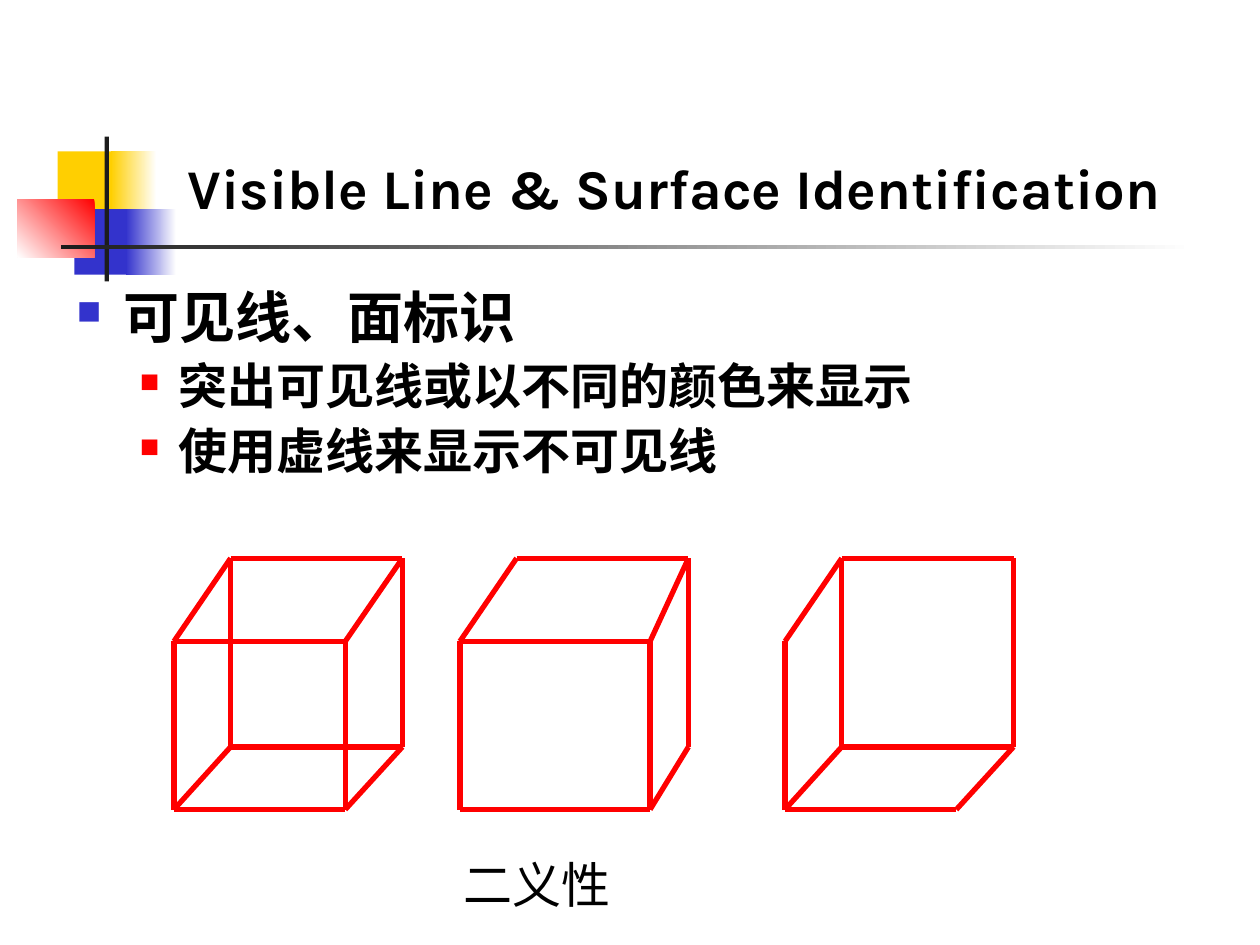
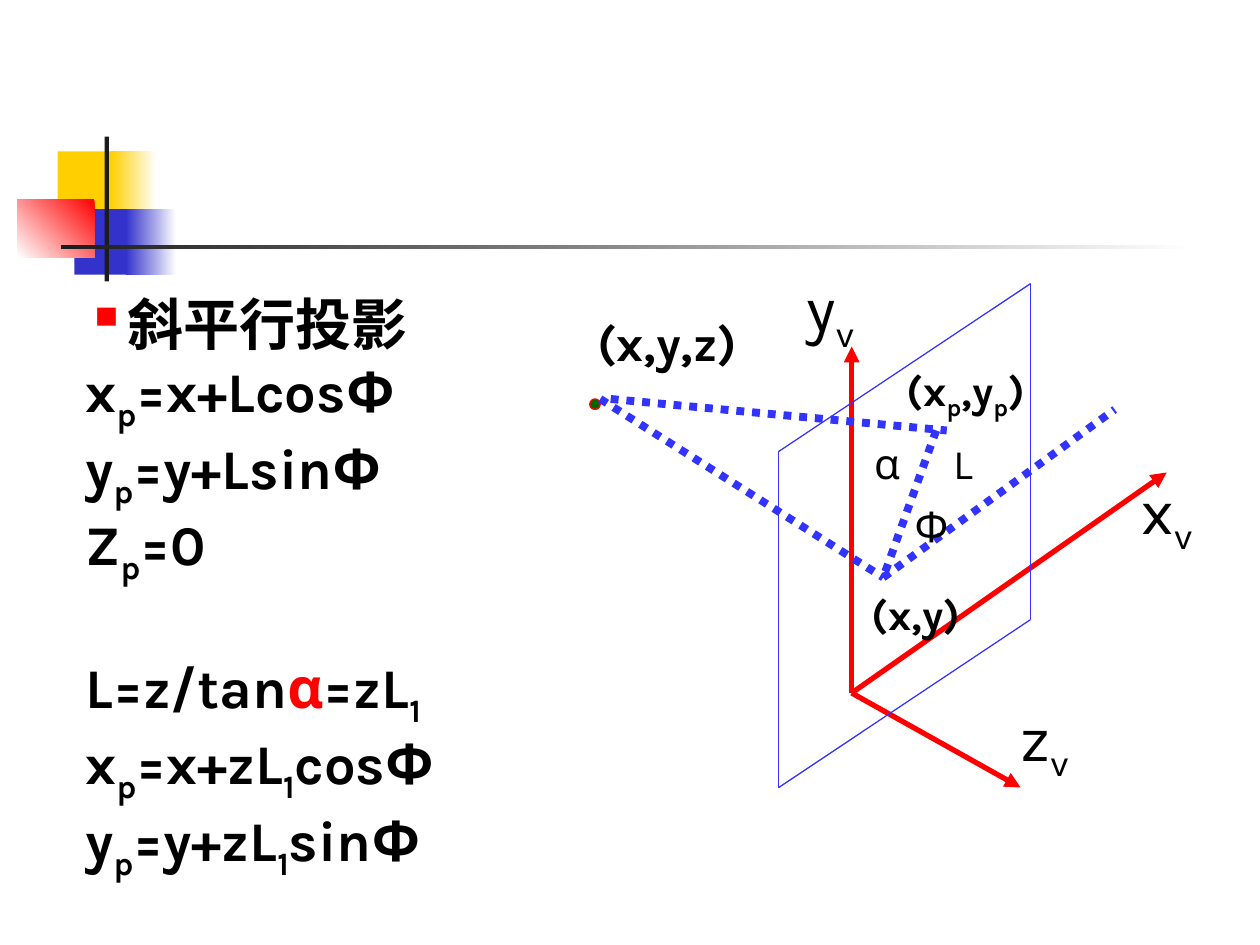
from lxml.etree import SubElement
from pptx import Presentation
from pptx.dml.color import RGBColor
from pptx.enum.dml import MSO_LINE as Dash
from pptx.enum.shapes import MSO_CONNECTOR as Link, MSO_SHAPE as Shape
from pptx.enum.text import MSO_ANCHOR as Anchor, MSO_AUTO_SIZE as Auto, PP_ALIGN as Align
from pptx.oxml.ns import qn
from pptx.util import Pt

RED = RGBColor(0xFF, 0x00, 0x00)
GOLD = RGBColor(0xFF, 0xCF, 0x01)
NAVY = RGBColor(0x33, 0x33, 0xCC)
BLUE = RGBColor(0x33, 0x33, 0xFF)
GREEN = RGBColor(0x00, 0x66, 0x00)
DARK = RGBColor(0x1C, 0x1C, 0x1C)
BLACK = RGBColor(0x00, 0x00, 0x00)
WHITE = RGBColor(0xFF, 0xFF, 0xFF)
FONT = "Karla"


def fill(shape, size, bold, lines, wrap=True):
    """Write lines into a shape; "|" parts runs, and p, v and 1 alone are subscripts."""
    frame = shape.text_frame
    frame.word_wrap = wrap
    frame.auto_size = Auto.SHAPE_TO_FIT_TEXT
    for i, line in enumerate(lines):
        para = frame.add_paragraph() if i else frame.paragraphs[0]
        for part in line.split("|"):
            run = para.add_run()
            run.text = part
            run.font.name = FONT
            run.font.size = Pt(size)
            run.font.bold = bold
            run.font.color.rgb = RED if bold and part == "α" else BLACK
            if part in ("p", "v", "1"):
                run.font._element.set("baseline", "-25000")
    return frame


def link(slide, start, end, color, width):
    """Draw a straight line without shadow."""
    ends = [Pt(n) for n in (*start, *end)]
    line = slide.shapes.add_connector(Link.STRAIGHT, *ends)
    line.line.color.rgb = color
    line.line.width = Pt(width)
    SubElement(line._element.spPr, qn("a:effectLst"))
    return line


deck = Presentation()
deck.slide_width, deck.slide_height = Pt(720), Pt(540)
cubes = deck.slides.add_slide(deck.slide_layouts[5])
proj = deck.slides.add_slide(deck.slide_layouts[6])

# Shared corner blocks and rules, moved to the master behind everything
decor = [
    (33, 86.5, 34.5, 37.5, GOLD, None, 0),
    (63.4, 86.5, 26, 37.5, WHITE, GOLD, 180),
    (42.5, 119.5, 33, 37.5, NAVY, None, 0),
    (72, 119.5, 28.8, 37.5, WHITE, NAVY, 180),
    (10, 113.75, 44, 33.25, RED, WHITE, 225),
    (59.8, 78, 2.4, 82.8, DARK, None, 0),
    (34.6, 140, 648, 2.5, WHITE, DARK, 180),
]
tree = deck.slide_master.shapes._spTree
for i, (left, top, width, height, first, last, angle) in enumerate(decor):
    block = cubes.shapes.add_shape(Shape.RECTANGLE, Pt(left), Pt(top), Pt(width), Pt(height))
    block.shadow.inherit = False
    block.line.fill.background()
    if last is None:
        block.fill.solid()
        block.fill.fore_color.rgb = first
    else:
        block.fill.gradient()
        block.fill.gradient_angle = angle
        for stop, color in zip(block.fill.gradient_stops, (first, last)):
            stop.color.rgb = color
    tree.insert(2 + i, block._element)

# Slide 1: title
title = cubes.shapes.title
title.left, title.top, title.width, title.height = Pt(100), Pt(84.3), Pt(584), Pt(46)
frame = fill(title, 32, True, ["Visible Line & Surface Identification"], False)
frame.vertical_anchor = Anchor.TOP
frame.paragraphs[0].alignment = Align.LEFT

# Slide 1: cubes, capitals for the back face and small letters for the front
HIGH, FRONT, LOW, BASE = 319, 366.5, 426.8, 462.6
views = [
    (99.4, 97.9, "AB Aa ab bB ac cd db BD Dd AC CD Cc"),
    (262.8, 108.7, "AB Aa ac ab Bb bd cd BD Dd"),
    (448.6, 97.9, "AB Aa AC Cc ac CD DB Dd cd"),
]
for left, width, edges in views:
    back, far = left + 32.4, left + 130.6
    spots = {
        "A": (back, HIGH), "B": (far, HIGH), "C": (back, LOW), "D": (far, LOW),
        "a": (left, FRONT), "b": (left + width, FRONT),
        "c": (left, BASE), "d": (left + width, BASE),
    }
    for start, end in edges.split():
        link(cubes, spots[start], spots[end], RED, 3)

# Slide 1: list and caption
note = cubes.shapes.add_textbox(Pt(258), Pt(484.5), Pt(108), Pt(41))
fill(note, 28, False, ["二义性"])
body = cubes.shapes.add_textbox(Pt(36.7), Pt(162), Pt(612), Pt(124.5))
items = fill(body, 32, True, [
    "可见线、面标识", "突出可见线或以不同的颜色来显示", "使用虚线来显示不可见线",
]).paragraphs
for para in items:
    para.line_spacing = 0.9
for para in items[1:]:
    para.space_before = Pt(7)
    para.runs[0].font.size = Pt(28)

# Slide 2: formulas
body = proj.shapes.add_textbox(Pt(41.8), Pt(162), Pt(282), Pt(423))
sums = fill(body, 32, True, [
    "斜平行投影", "x|p|=x+LcosФ", "y|p|=y+LsinФ", "Z|p|=0",
    "L=z/tan|α|=zL|1", "x|p|=x+zL|1|cosФ", "y|p|=y+zL|1|sinФ",
]).paragraphs
sums[4].space_before = Pt(37.5)

# Bullets of both slides
marks = [
    (items[0], "■", NAVY, 60, 27, 27),
    (items[1], "■", RED, 55, 58.5, 22.5),
    (items[2], "■", RED, 55, 58.5, 22.5),
    (sums[0], "▪", RED, 100, 0, 0),
]
for para, char, color, size, left, hang in marks:
    props = para._p.get_or_add_pPr()
    props.set("marL", str(Pt(left)))
    props.set("indent", str(-Pt(hang)))
    SubElement(SubElement(props, qn("a:buClr")), qn("a:srgbClr"), val=str(color))
    SubElement(props, qn("a:buSzPct"), val=str(size * 1000))
    SubElement(props, qn("a:buChar"), char=char)

# Slide 2: axes
root = (486.7, 396)
for tip in [(486.7, 198), (666.7, 270), (583.2, 450)]:
    axis = link(proj, root, tip, RED, 3)
    SubElement(axis.line._get_or_add_ln(), qn("a:tailEnd"), type="triangle")

# Slide 2: view plane
plane = [(445, 258), (589, 162), (589, 354), (445, 450)]
for start, end in zip(plane, plane[1:] + plane[:1]):
    link(proj, start, end, BLUE, 0.75)

# Slide 2: point and its rays
dot = proj.shapes.add_shape(Shape.OVAL, Pt(337), Pt(228), Pt(6), Pt(6))
dot.shadow.inherit = False
dot.fill.solid()
dot.fill.fore_color.rgb = GREEN
dot.line.color.rgb = RED
dot.line.width = Pt(0.75)
foot = (504.7, 330)
rays = [
    ((343, 228), foot), (foot, (637, 234)),
    ((349, 228), (541, 246)), ((535, 246), foot),
]
for start, end in rays:
    link(proj, start, end, BLUE, 4.5).line.dash_style = Dash.ROUND_DOT

# Slide 2: labels, each with a little room on both sides
ROOM = 3
labels = [
    ("x|v", 36, False, 652.3, 269.3, 29.5, 49),
    ("y|v", 36, False, 460, 153.4, 29, 49),
    ("z|v", 36, False, 583.2, 399, 27.4, 49),
    ("(x,y,z)", 28, True, 338.4, 178.6, 85.7, 34),
    ("(x,y)", 24, True, 496.8, 336.2, 53.3, 29),
    ("(x|p|,y|p|)", 24, True, 516.2, 208, 71.3, 33),
    ("Ф", 24, False, 522.7, 285.8, 19.4, 29),
    ("α", 24, False, 499.7, 249.8, 14.4, 29),
    ("L", 24, False, 544.3, 249.8, 12.2, 29),
]
for text, size, bold, left, top, width, height in labels:
    label = proj.shapes.add_textbox(Pt(left - ROOM), Pt(top), Pt(width + 2 * ROOM), Pt(height))
    frame = fill(label, size, bold, [text], False)
    frame.margin_left = frame.margin_right = frame.margin_top = frame.margin_bottom = 0
    frame.vertical_anchor = Anchor.MIDDLE
    frame.paragraphs[0].alignment = Align.CENTER

deck.save("out.pptx")
